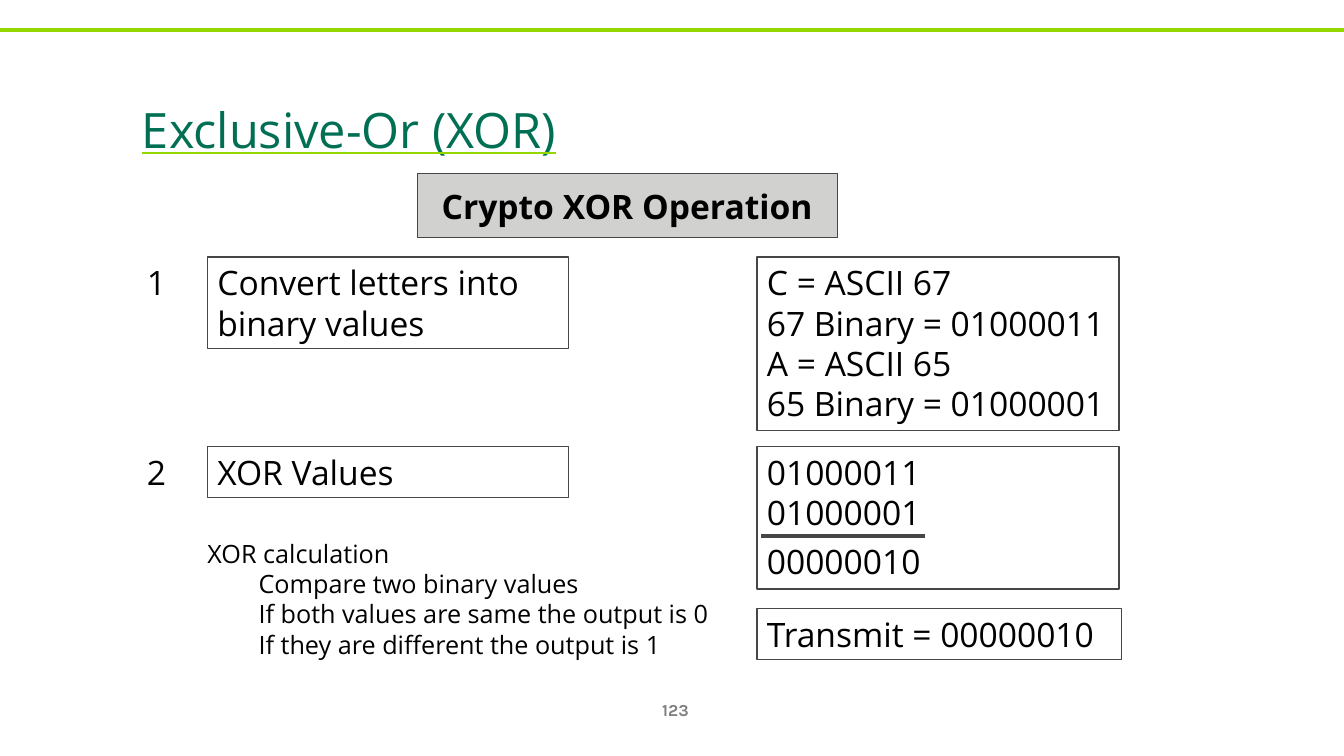
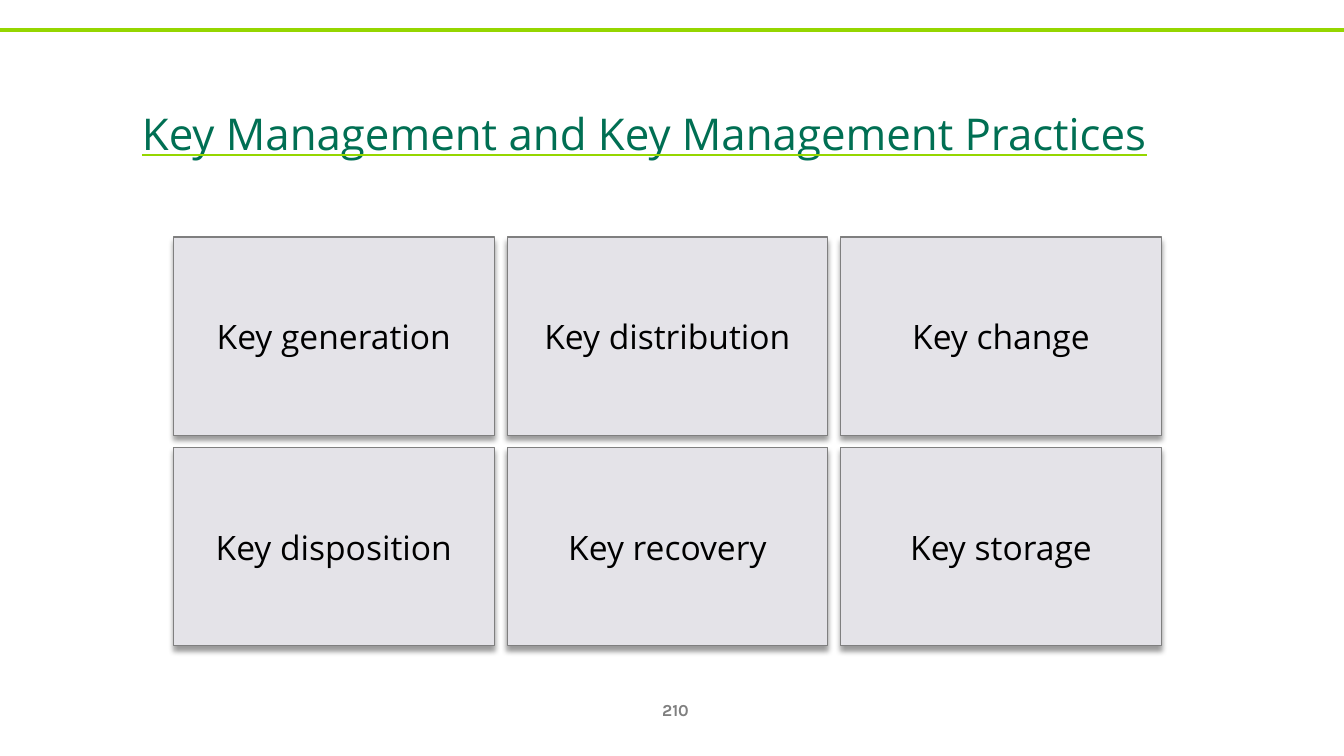
"""Build two cryptography slides: the XOR operation and key management practices."""
from lxml.etree import SubElement
from pptx import Presentation
from pptx.dml.color import RGBColor
from pptx.enum.shapes import MSO_CONNECTOR, MSO_SHAPE
from pptx.enum.text import MSO_ANCHOR, PP_ALIGN
from pptx.oxml.ns import qn
from pptx.util import Pt

BLACK, WHITE, GRAPHITE = "000000", "FFFFFF", "464646"
TITLE_GREEN, LIME = "006F53", "95D600"
BANNER_GREY, TILE_GREY, TILE_EDGE, NUMBER_GREY = "D1D2D0", "E4E3E8", "7F7F7F", "808080"


def add_box(slide, place, lines, size=24, color=BLACK, font="Open Sans", bold=False,
            align=PP_ALIGN.LEFT, anchor=MSO_ANCHOR.TOP, inset=(7.2, 3.6),
            fill=None, edge=None, edge_width=1):
    left, top, width, height = map(Pt, place)
    if edge:
        box = slide.shapes.add_shape(MSO_SHAPE.RECTANGLE, left, top, width, height)
        box.shadow.inherit = False
        box.line.color.rgb = RGBColor.from_string(edge)
        box.line.width = Pt(edge_width)
        if fill:
            box.fill.solid()
            box.fill.fore_color.rgb = RGBColor.from_string(fill)
        else:
            box.fill.background()
    else:
        box = slide.shapes.add_textbox(left, top, width, height)
    frame = box.text_frame
    frame.word_wrap = True
    frame.vertical_anchor = anchor
    frame.margin_left = frame.margin_right = Pt(inset[0])
    frame.margin_top = frame.margin_bottom = Pt(inset[1])
    for index, line in enumerate(lines):
        paragraph = frame.add_paragraph() if index else frame.paragraphs[0]
        paragraph.alignment = align
        run = paragraph.add_run()
        run.text = line
        run.font.name = font
        run.font.size = Pt(size)
        run.font.bold = bold
        run.font.color.rgb = RGBColor.from_string(color)
    return box


def add_rule(slide, start, end, y, color):
    rule = slide.shapes.add_connector(MSO_CONNECTOR.STRAIGHT, Pt(start), Pt(y), Pt(end), Pt(y))
    rule.line.color.rgb = RGBColor.from_string(color)
    rule.line.width = Pt(3)
    SubElement(rule.element.spPr, qn("a:effectLst"))


deck = Presentation()
deck.slide_width, deck.slide_height = Pt(960), Pt(540)

headings = [
    ("Exclusive-Or (XOR)", 60, 1.0, 18, "123"),
    ("Key Management and Key Management Practices", 54, 1.1, 0, "210"),
]
for heading, size, spacing, after, number in headings:
    slide = deck.slides.add_slide(deck.slide_layouts[6])
    add_rule(slide, 0, 960, 21.5, LIME)
    add_box(slide, (460, 492.5, 45, 29), [number], 12, NUMBER_GREY, "Karla", True,
            PP_ALIGN.CENTER, MSO_ANCHOR.MIDDLE)
    title = add_box(slide, (94.3, 44, 865.7, 90), [heading], size, TITLE_GREEN,
                    anchor=MSO_ANCHOR.MIDDLE)
    paragraph = title.text_frame.paragraphs[0]
    paragraph.line_spacing = spacing
    paragraph.space_after = Pt(after)
    title_font = paragraph.runs[0].font
    title_font.underline = True
    properties = paragraph.runs[0]._r.get_or_add_rPr()
    properties.set("baseline", "12000")
    underline = SubElement(properties, qn("a:uFill"))
    SubElement(SubElement(underline, qn("a:solidFill")), qn("a:srgbClr"), val=LIME)
    properties.find(qn("a:latin")).addprevious(underline)

xor_slide, key_slide = deck.slides

add_box(xor_slide, (298, 124, 300, 46), ["Crypto XOR Operation"], bold=True,
        align=PP_ALIGN.CENTER, anchor=MSO_ANCHOR.MIDDLE,
        fill=BANNER_GREY, edge=GRAPHITE, edge_width=0.75)

steps = [
    ("1", 183.7, "Convert letters into binary values", 65.3),
    ("2", 319, "XOR Values", 36.2),
]
for number, top, step, height in steps:
    add_box(xor_slide, (87.8, top, 48, 36.5), [number], align=PP_ALIGN.CENTER)
    add_box(xor_slide, (148.2, top, 258, height), [step], fill=WHITE, edge=GRAPHITE)

add_box(xor_slide, (540.7, 183.7, 258.5, 124),
        ["C = ASCII 67", "67 Binary = 01000011", "A = ASCII 65", "65 Binary = 01000001"],
        edge=GRAPHITE)
xor_sum = add_box(xor_slide, (540.7, 319, 258.5, 101.8),
                  ["01000011", "01000001", "00000010"], edge=GRAPHITE)
xor_sum.text_frame.paragraphs[1].space_after = Pt(6)
add_rule(xor_slide, 543.6, 660.4, 383, GRAPHITE)
add_box(xor_slide, (540.7, 434.8, 260.5, 36.2), ["Transmit = 00000010"], edge=GRAPHITE)

calculation = add_box(xor_slide, (148.2, 384.5, 384, 93), [
    "XOR calculation",
    "Compare two binary values",
    "If both values are same the output is 0",
    "If they are different the output is 1",
], 18, inset=(0, 0))
for rule_line in calculation.text_frame.paragraphs[1:]:
    rule_line.level = 1
    rule_line._p.get_or_add_pPr().set("marL", str(Pt(36.5)))

practices = ["Key generation", "Key distribution", "Key change",
             "Key disposition", "Key recovery", "Key storage"]
tile_width, tile_height, column_gap, row_gap = 229, 141.8, 9.3, 8.5
for index, practice in enumerate(practices):
    row, column = divmod(index, 3)
    tile = add_box(key_slide, (123.9 + column * (tile_width + column_gap),
                               169.3 + row * (tile_height + row_gap),
                               tile_width, tile_height),
                   [practice], align=PP_ALIGN.CENTER, anchor=MSO_ANCHOR.MIDDLE,
                   inset=(7.2, 7.2), fill=TILE_GREY, edge=TILE_EDGE, edge_width=0.75)
    effects = tile.element.spPr.find(qn("a:effectLst"))
    shadow = SubElement(effects, qn("a:outerShdw"), blurRad=str(Pt(4)), dist=str(Pt(3)),
                        dir="5400000", rotWithShape="0")
    shade = SubElement(shadow, qn("a:srgbClr"), val=BLACK)
    SubElement(shade, qn("a:alpha"), val="40000")

deck.save("out.pptx")
